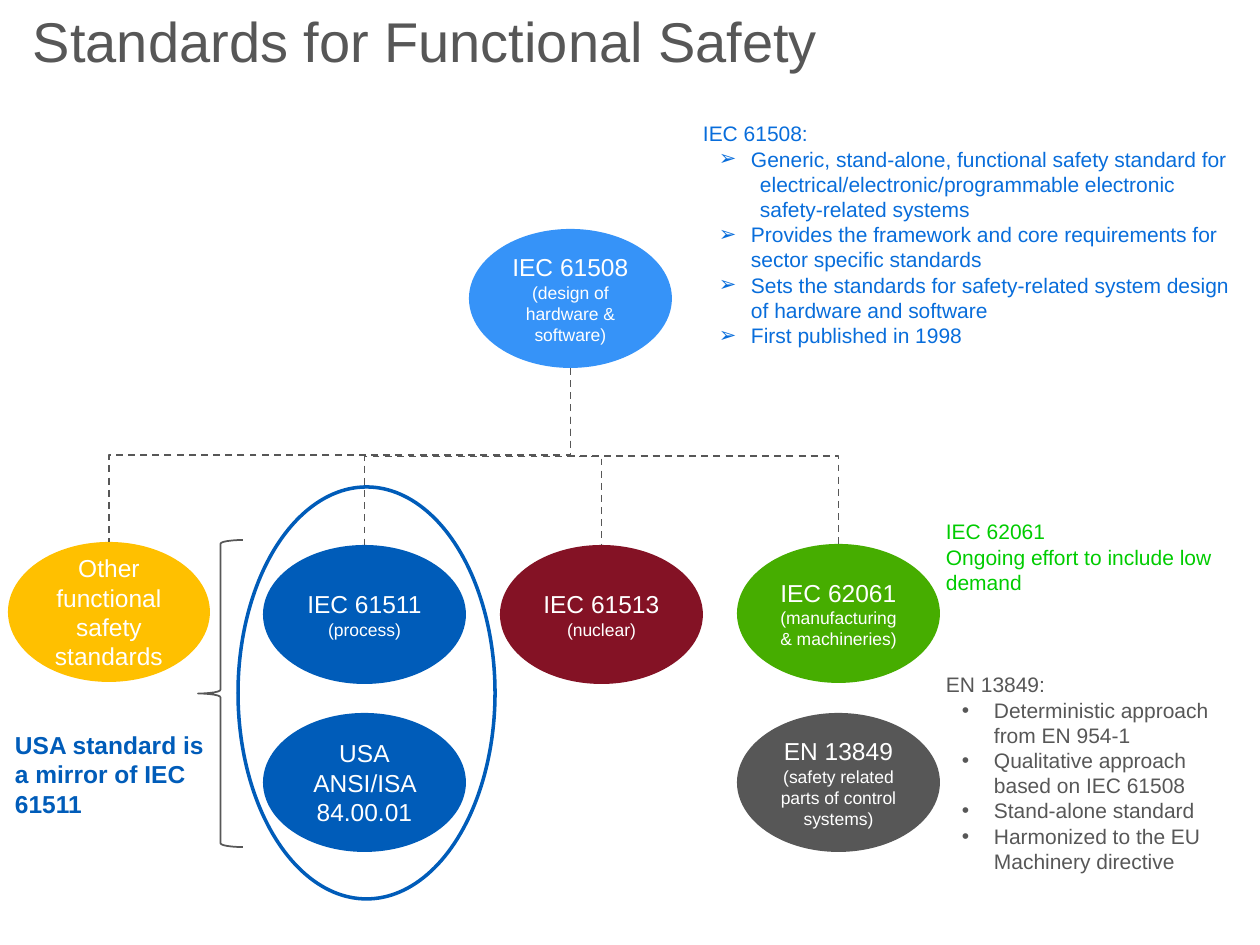
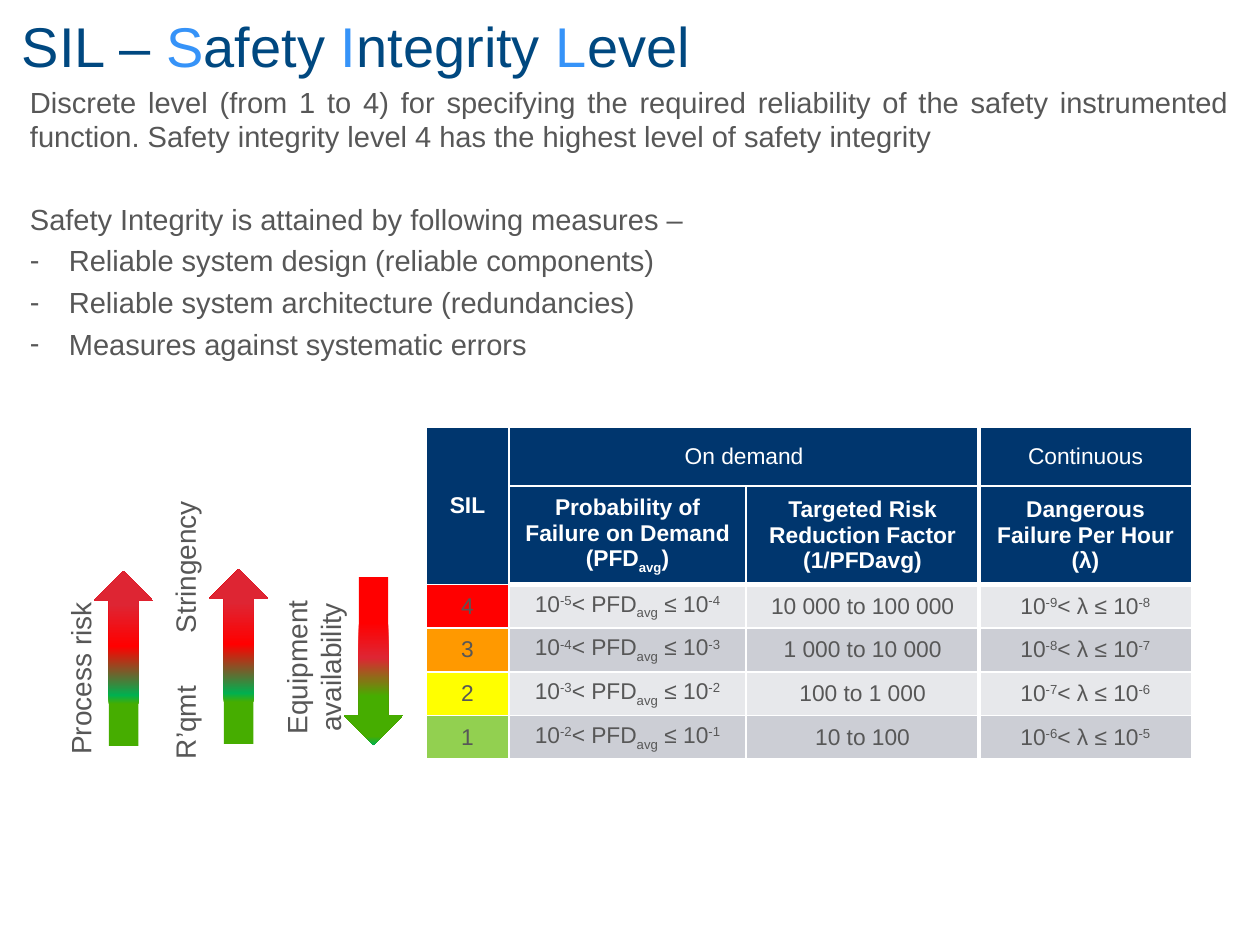
from lxml import etree
from pptx import Presentation
from pptx.dml.color import RGBColor
from pptx.enum.dml import MSO_LINE
from pptx.enum.shapes import MSO_CONNECTOR, MSO_SHAPE
from pptx.enum.text import MSO_ANCHOR, PP_ALIGN
from pptx.oxml.ns import qn
from pptx.util import Emu, Pt

ELBOW, DASH = MSO_CONNECTOR.ELBOW, MSO_LINE.DASH
ELLIPSE, RECTANGLE = MSO_SHAPE.OVAL, MSO_SHAPE.RECTANGLE
BRACE, DOWN_ARROW = MSO_SHAPE.LEFT_BRACE, MSO_SHAPE.DOWN_ARROW
LEFT, CENTER, JUSTIFY = PP_ALIGN.LEFT, PP_ALIGN.CENTER, PP_ALIGN.JUSTIFY
TOP, MIDDLE = MSO_ANCHOR.TOP, MSO_ANCHOR.MIDDLE

FONT = "Arial"
WHITE = RGBColor(0xFF, 0xFF, 0xFF)
GRAY = RGBColor(0x57, 0x57, 0x57)
SKY = RGBColor(0x36, 0x93, 0xF8)
BLUE = RGBColor(0x00, 0x5C, 0xB9)
NOTE_BLUE = RGBColor(0x08, 0x6D, 0xDB)
TITLE_BLUE = RGBColor(0x00, 0x48, 0x80)
NAVY = RGBColor(0x00, 0x36, 0x6E)
WINE = RGBColor(0x84, 0x12, 0x25)
GREEN = RGBColor(0x46, 0xAD, 0x00)
NOTE_GREEN = RGBColor(0x00, 0xCC, 0x00)
AMBER = RGBColor(0xFF, 0xC0, 0x00)
RED = RGBColor(0xFF, 0x00, 0x00)
ORANGE = RGBColor(0xFF, 0x99, 0x00)
YELLOW = RGBColor(0xFF, 0xFF, 0x00)
LIME = RGBColor(0x92, 0xD0, 0x50)
CRIMSON = RGBColor(0xDE, 0x25, 0x33)
EMERALD = RGBColor(0x00, 0xB0, 0x50)
BANDS = RGBColor(0xE7, 0xE8, 0xEB), RGBColor(0xCC, 0xCE, 0xD5)

STANDARDS = {
    "generic": ((469, 229, 203, 139), SKY, "IEC 61508", "(design of hardware & software)"),
    "usa": ((263, 713, 203, 139), BLUE, "USA", "ANSI/ISA 84.00.01"),
    "process": ((263, 545, 203, 139), BLUE, "IEC 61511", "(process)"),
    "nuclear": ((500, 545, 203, 139), WINE, "IEC 61513", "(nuclear)"),
    "machinery": ((737, 544, 203, 139), GREEN, "IEC 62061", "(manufacturing & machineries)"),
    "controls": ((737, 713, 203, 139), GRAY, "EN 13849",
                 "(safety related parts of control systems)"),
    "other": ((8, 542, 202, 140), AMBER, "Other functional safety standards", None),
}
BRANCHES = ["process", "machinery", "other", "nuclear"]
ARROW_BULLET = {"bullet": "➢", "margin": 48, "indent": -32}
DOT_BULLET = {"bullet": "•", "margin": 48, "indent": -32}
DASH_BULLET = {"bullet": "-", "margin": 39, "indent": -39, "before": 4}
CONTINUED = {"margin": 57}
GENERIC_NOTE = [
    ("IEC 61508:", {}),
    ("Generic, stand-alone, functional safety standard for", ARROW_BULLET),
    ("electrical/electronic/programmable electronic", CONTINUED),
    ("safety-related systems", CONTINUED),
    ("Provides the framework and core requirements for sector specific standards", ARROW_BULLET),
    ("Sets the standards for safety-related system design of hardware and software", ARROW_BULLET),
    ("First published in 1998", ARROW_BULLET),
]
CONTROLS_NOTE = [
    ("EN 13849:", {}),
    ("Deterministic approach from EN 954-1", DOT_BULLET),
    ("Qualitative approach based on IEC 61508", DOT_BULLET),
    ("Stand-alone standard", DOT_BULLET),
    ("Harmonized to the EU Machinery directive", DOT_BULLET),
]
MACHINERY_NOTE = [("IEC 62061", {}), ("Ongoing effort to include low demand", {})]
USA_NOTE = [("USA standard is a mirror of IEC 61511", {})]

SIL_TITLE = [("SIL – ", {}), ("S", {"color": SKY}), ("afety ", {}), ("I", {"color": SKY}),
             ("ntegrity ", {}), ("L", {"color": SKY}), ("evel", {})]
SIL_TEXT = [
    ("Discrete level (from 1 to 4) for specifying the required reliability of the safety "
     "instrumented function. Safety integrity level 4 has the highest level of safety integrity", {}),
    ("Safety Integrity is attained by following measures –", {"before": 27}),
    ("Reliable system design (reliable components)", DASH_BULLET),
    ("Reliable system architecture (redundancies)", DASH_BULLET),
    ("Measures against systematic errors", DASH_BULLET),
]
RISING = [(6, GREEN), (24, GREEN), (29, EMERALD), (57, RED), (81, CRIMSON)]
FALLING = [(27, RED), (48, CRIMSON), (71, GREEN), (95, GREEN), (100, EMERALD)]
TRENDS = [
    ((-26, 655, 214, 47), "Process risk", {"align": CENTER}, (94, 571, 59, 175), 180, RISING),
    ((38, 615, 295, 47), "R’qmt\tStringency", {"margin": 21, "tab": 116},
     (209, 569, 59, 175), 180, RISING),
    ((218, 626, 194, 83), "Equipment availability", {"align": CENTER},
     (344, 577, 59, 168), 0, FALLING),
]
COLUMNS, ROWS = [83, 237, 233, 213], [59, 93, 39, 39, 39, 39]
MERGES = [((0, 0), (1, 0)), ((0, 1), (0, 2))]
SUPER, SUB, BOLD = {"baseline": 30000}, {"baseline": -25000}, {"bold": True}
HEADINGS = [
    [[("SIL", BOLD)], "On demand", None, "Continuous"],
    [None,
     [("Probability of Failure on Demand (PFD", BOLD), ("avg", BOLD | SUB), (")", BOLD)],
     [("Targeted Risk Reduction Factor (1/PFDavg)", BOLD)],
     [("Dangerous Failure Per Hour (λ)", BOLD)]],
]
LEVELS = [
    ("4", RED, -5, "10 000 to 100 000", -9),
    ("3", ORANGE, -4, "1 000 to 10 000", -8),
    ("2", YELLOW, -3, "100 to 1 000", -7),
    ("1", LIME, -2, "10 to 100", -6),
]


def px(length):
    return Emu(round(length * 914400 / 126))


def box_of(values):
    return [px(value) for value in values]


def write_run(paragraph, text, size, color, bold=False, baseline=0):
    run = paragraph.add_run()
    run.text = text
    for name, value in {"name": FONT, "size": Pt(size), "bold": bold}.items():
        setattr(run.font, name, value)
    run.font.color.rgb = color
    if baseline:
        run._r.get_or_add_rPr().set("baseline", str(baseline))


def format_paragraph(paragraph, align=LEFT, bullet=None, margin=0, indent=0, before=0, tab=0):
    paragraph.alignment = align
    paragraph.space_before = Pt(before)
    properties = paragraph._p.get_or_add_pPr()
    properties.set("marL", str(px(margin)))
    properties.set("indent", str(px(indent)))
    if bullet:
        etree.SubElement(properties, qn("a:buFont"), typeface=FONT)
        etree.SubElement(properties, qn("a:buChar"), char=bullet)
    if tab:
        tabs = etree.SubElement(properties, qn("a:tabLst"))
        etree.SubElement(tabs, qn("a:tab"), pos=str(px(tab)), algn="l")


def write(frame, paragraphs, size, color, align=LEFT, bold=False):
    for index, (content, layout) in enumerate(paragraphs):
        paragraph = frame.add_paragraph() if index else frame.paragraphs[0]
        layout = {"align": align} | layout
        paragraph_size = layout.pop("size", size)
        format_paragraph(paragraph, **layout)
        runs = [(content, {})] if isinstance(content, str) else content
        for text, style in runs:
            write_run(paragraph, text, paragraph_size, **({"color": color, "bold": bold} | style))


def set_frame(frame, inset=0, anchor=TOP, wrap=True):
    values = {"word_wrap": wrap, "vertical_anchor": anchor, "margin_left": inset,
              "margin_right": inset, "margin_top": inset, "margin_bottom": inset}
    for name, value in values.items():
        setattr(frame, name, value)


def add_text(slide, box, paragraphs, size, color, **style):
    shape = slide.shapes.add_textbox(*box_of(box))
    set_frame(shape.text_frame)
    write(shape.text_frame, paragraphs, size, color, **style)
    return shape


def add_title(slide, box, content, color):
    shape = add_text(slide, box, [(content, {})], 32, color)
    shape.text_frame.paragraphs[0].line_spacing = 0.9


def add_shape(slide, kind, box, fill=None, line=None, width=1):
    shape = slide.shapes.add_shape(kind, *box_of(box))
    shape.shadow.inherit = False
    if fill is None:
        shape.fill.background()
    else:
        shape.fill.solid()
        shape.fill.fore_color.rgb = fill
    if line is None:
        shape.line.fill.background()
    else:
        shape.line.color.rgb = line
        shape.line.width = Pt(width)
    return shape


def add_branch(slide, parent, child):
    start_x, start_y = parent[0] + parent[2] / 2, parent[1] + parent[3]
    run, drop = child[0] + child[2] / 2 - start_x, child[1] - start_y
    middle_x, middle_y = start_x + run / 2, start_y + drop / 2
    ends = (middle_x - drop / 2, middle_y + run / 2, middle_x + drop / 2, middle_y - run / 2)
    connector = slide.shapes.add_connector(ELBOW, *box_of(ends))
    connector.line.color.rgb = GRAY
    connector.line.width = Pt(1)
    connector.line.dash_style = DASH
    properties = connector._element.spPr
    properties.find(qn("a:xfrm")).set("rot", "5400000")
    etree.SubElement(properties, qn("a:effectLst"))


def add_trend_arrow(slide, box, rotation, stops):
    arrow = add_shape(slide, DOWN_ARROW, box)
    arrow.rotation = rotation
    properties = arrow._element.spPr
    properties.remove(properties.find(qn("a:noFill")))
    gradient = etree.Element(qn("a:gradFill"), rotWithShape="1")
    stop_list = etree.SubElement(gradient, qn("a:gsLst"))
    for position, color in stops:
        stop = etree.SubElement(stop_list, qn("a:gs"), pos=str(position * 1000))
        etree.SubElement(stop, qn("a:srgbClr"), val=str(color))
    etree.SubElement(gradient, qn("a:lin"), ang="5400000", scaled="0")
    properties.find(qn("a:prstGeom")).addnext(gradient)


def format_cell(cell, row, column, fill):
    thick = {"lnL": column == 3, "lnR": column == 2,
             "lnT": row == 2 and column > 0, "lnB": row == 1 and column > 0}
    properties = cell._tc.get_or_add_tcPr()
    for side, heavy in thick.items():
        line = etree.SubElement(properties, qn("a:" + side), w=str(Pt(3 if heavy else 1)))
        solid = etree.SubElement(line, qn("a:solidFill"))
        etree.SubElement(solid, qn("a:srgbClr"), val=str(WHITE))
    cell.fill.solid()
    cell.fill.fore_color.rgb = fill
    cell.vertical_anchor = MIDDLE


def power_range(quantity, low):
    return [("10", {}), (str(low), SUPER), ("< ", {}), *quantity, (" ≤ 10", {}), (str(low + 1), SUPER)]


def add_sil_table(slide):
    box = (426, 427, sum(COLUMNS), sum(ROWS))
    table = slide.shapes.add_table(len(ROWS), len(COLUMNS), *box_of(box)).table
    table.first_row = table.horz_banding = False
    for column, width in zip(table.columns, COLUMNS):
        column.width = px(width)
    for row, height in zip(table.rows, ROWS):
        row.height = px(height)
    for first, last in MERGES:
        table.cell(*first).merge(table.cell(*last))
    contents = [[(content, NAVY, WHITE) for content in row] for row in HEADINGS]
    for index, (level, level_color, demand, factor, hourly) in enumerate(LEVELS):
        values = [level, power_range([("PFD", {}), ("avg", SUB)], demand), factor,
                  power_range([("λ", {})], hourly)]
        fills = [level_color] + [BANDS[index % 2]] * 3
        contents.append([(value, fill, GRAY) for value, fill in zip(values, fills)])
    for row, cells in enumerate(contents):
        for column, (content, fill, color) in enumerate(cells):
            cell = table.cell(row, column)
            format_cell(cell, row, column, fill)
            if content:
                write(cell.text_frame, [(content, {})], 13, color, align=CENTER)


def build_standards(slide):
    add_title(slide, (33, 14, 1150, 141), "Standards for Functional Safety", GRAY)
    for key, (box, fill, name, detail) in STANDARDS.items():
        ellipse = add_shape(slide, ELLIPSE, box, fill)
        ellipse.text_frame.word_wrap = True
        ellipse.text_frame.vertical_anchor = MIDDLE
        paragraphs = [(name, {})]
        if detail:
            paragraphs.append((detail, {"size": 14 if key == "usa" else 10}))
        write(ellipse.text_frame, paragraphs, 14, WHITE, align=CENTER)
    for key in BRANCHES:
        add_branch(slide, STANDARDS["generic"][0], STANDARDS[key][0])
    add_shape(slide, BRACE, (198, 540, 45, 307), line=GRAY)
    add_shape(slide, ELLIPSE, (238, 487, 257, 412), line=BLUE, width=2)
    add_text(slide, (15, 730, 203, 89), USA_NOTE, 14, BLUE, bold=True)
    add_text(slide, (703, 121, 543, 229), GENERIC_NOTE, 12, NOTE_BLUE)
    add_text(slide, (946, 519, 300, 77), MACHINERY_NOTE, 12, NOTE_GREEN)
    controls = add_shape(slide, RECTANGLE, (946, 672, 300, 204), WHITE)
    set_frame(controls.text_frame)
    write(controls.text_frame, CONTROLS_NOTE, 12, GRAY)


def build_sil(slide):
    add_title(slide, (22, 19, 800, 64), SIL_TITLE, TITLE_BLUE)
    add_sil_table(slide)
    add_text(slide, (30, 84, 1197, 410), SIL_TEXT, 16.6, GRAY, align=JUSTIFY)
    for label_box, label, layout, arrow_box, rotation, stops in TRENDS:
        text = add_text(slide, label_box, [(label, layout)], 16, GRAY)
        set_frame(text.text_frame, px(6))
        text.rotation = 270
        add_trend_arrow(slide, arrow_box, rotation, stops)


def main():
    presentation = Presentation()
    presentation.slide_width, presentation.slide_height = px(1260), px(945)
    for build in (build_standards, build_sil):
        build(presentation.slides.add_slide(presentation.slide_layouts[6]))
    presentation.save("out.pptx")


if __name__ == "__main__":
    main()
